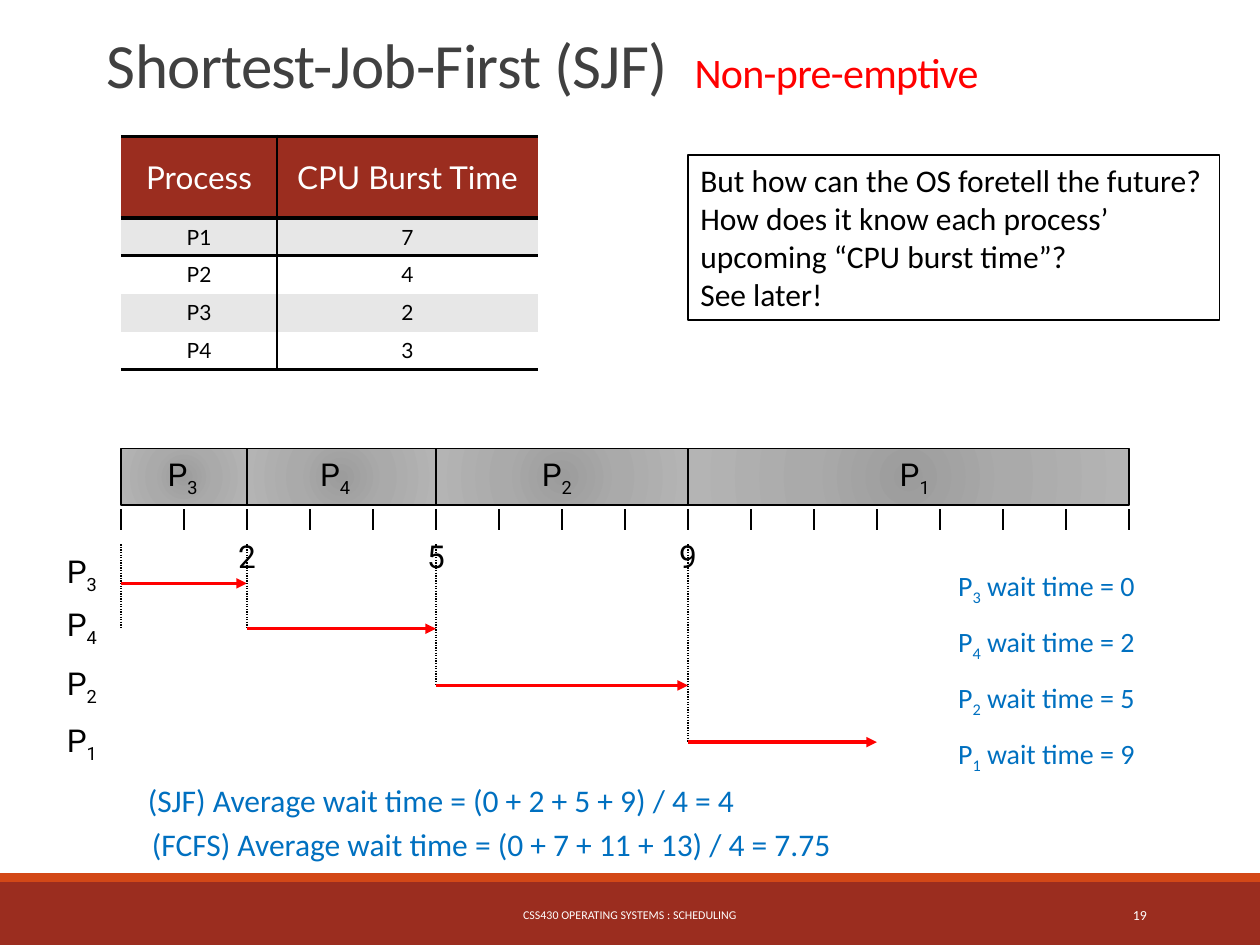
"""Build the Shortest-Job-First scheduling slide."""
from lxml.etree import SubElement
from pptx import Presentation
from pptx.dml.color import RGBColor as RGB
from pptx.enum.dml import MSO_LINE as Dash
from pptx.enum.shapes import MSO_CONNECTOR as Conn, MSO_SHAPE as Shape
from pptx.enum.text import MSO_ANCHOR as Anchor, PP_ALIGN as Align
from pptx.oxml import parse_xml
from pptx.oxml.ns import nsdecls, qn
from pptx.util import Inches, Pt

BLACK, WHITE = RGB(0, 0, 0), RGB(255, 255, 255)
RED, BLUE, GREY = RGB(255, 0, 0), RGB(0, 0x70, 0xC0), RGB(0x40, 0x40, 0x40)
BRICK, ORANGE, PALE = RGB(0x9B, 0x2D, 0x1F), RGB(0xD3, 0x48, 0x17), RGB(0xE7, 0xE7, 0xE7)
SHADES = [(0, "9C9C9C"), (45, "AAAAAA"), (100, "B4B4B4")]

WIDE, HIGH = 10, 7.5
LEFT, UNIT, TICKS = 0.96, 0.5, 16
BAR_Y, BAR_H = 3.56, 0.45
TICK_Y, TICK_H, DROP_Y = 4.04, 0.17, 4.32
TEXT_H, NAME_X = 0.4, 0.65

ROWS = [("Process", "CPU Burst Time"), ("P1", "7"), ("P2", "4"), ("P3", "2"), ("P4", "3")]
COLS, HEAD_H, ROW_H = (1.24, 2.07), 0.65, 0.3
# name, start, length, arrow length, name centre, label centre y, arrow y, drop end
JOBS = [
    ("P_3", 0, 2, 2, 1.45, 4.55, 4.63, 4.99),
    ("P_4", 2, 3, 3, 2.66, 4.97, 4.99, 4.99),
    ("P_2", 5, 4, 4, 4.42, 5.44, 5.44, 5.44),
    ("P_1", 9, 7, 3, 7.26, 5.89, 5.89, 5.89),
]
MEANS = [
    ("(SJF) Average wait time = (0 + 2 + 5 + 9) / 4 = 4 ", -0.47, 6.15),
    ("(FCFS) Average wait time = (0 + 7 + 11 + 13) / 4 = 7.75", -0.1, 6.5),
]
NOTE = [
    "But how can the OS foretell the future?",
    "How does it know each process’ upcoming “CPU burst time”?",
    "See later!",
]

LABEL = dict(size=Pt(18), name="Roboto", color=BLACK)
BODY = dict(size=Pt(18), name="Calibri", color=BLACK)
SUMS = {**BODY, "color": BLUE}
WAIT = {**SUMS, "size": Pt(16)}


def style(font, form):
    for key, val in form.items():
        if key == "color":
            font.color.rgb = val
        else:
            setattr(font, key, val)


def put(para, text, form):
    """Add runs, with the character after an underscore set as a subscript."""
    head, low, rest = text.partition("_")
    for part, base in ((head, 0), (rest[:1], -25000), (rest[1:], 0)):
        if part:
            run = para.add_run()
            run.text = part
            style(run.font, form)
            if base:
                run.font._element.set("baseline", str(base))


def write(frame, lines, form, align=Align.CENTER, anchor=Anchor.MIDDLE, wrap=True, gap=0):
    frame.word_wrap, frame.vertical_anchor = wrap, anchor
    for i, line in enumerate(lines):
        para = frame.add_paragraph() if i else frame.paragraphs[0]
        para.alignment = align
        if i and gap:
            para.space_before = Pt(gap)
        put(para, line, form)


def box(slide, x, y, w, h, lines, form, **opts):
    frame = slide.shapes.add_textbox(*map(Inches, (x, y, w, h))).text_frame
    write(frame, lines, form, **opts)
    return frame


def label(slide, x, y, text):
    w = 0.46 if "_" in text else 0.34
    box(slide, x - w / 2, y - TEXT_H / 2, w, TEXT_H, [text], LABEL, wrap=False)


def rect(slide, x, y, w, h, fill=None, line=None):
    shape = slide.shapes.add_shape(Shape.RECTANGLE, *map(Inches, (x, y, w, h)))
    shape.shadow.inherit = False
    if fill is None:
        shape.fill.background()
    else:
        shape.fill.solid()
        shape.fill.fore_color.rgb = fill
    if line is None:
        shape.line.fill.background()
    else:
        shape.line.color.rgb, shape.line.width = BLACK, Pt(line)
    return shape


def shade(shape):
    stops = "".join(
        f'<a:gs pos="{pos * 1000}"><a:srgbClr val="{tone}"/></a:gs>' for pos, tone in SHADES)
    grad = parse_xml(
        f'<a:gradFill {nsdecls("a")} rotWithShape="1"><a:gsLst>{stops}</a:gsLst>'
        '<a:path path="circle"><a:fillToRect l="50000" t="50000" r="50000" b="50000"/>'
        '</a:path></a:gradFill>')
    props = shape._element.spPr
    props.replace(props.find(qn("a:solidFill")), grad)


def rule(slide, x, y, x2, y2, color=BLACK, width=0.75, dash=None, arrow=False):
    link = slide.shapes.add_connector(Conn.STRAIGHT, *map(Inches, (x, y, x2, y2)))
    link.line.color.rgb, link.line.width = color, Pt(width)
    if dash:
        link.line.dash_style = dash
    if arrow:
        SubElement(link.line._get_or_add_ln(), qn("a:tailEnd"), type="triangle")
    SubElement(link._element.spPr, qn("a:effectLst"))


def edge(cell, side, width):
    cell._tc.get_or_add_tcPr().append(parse_xml(
        f'<a:{side} {nsdecls("a")} w="{Pt(width)}"><a:solidFill>'
        f'<a:srgbClr val="{BLACK}"/></a:solidFill></a:{side}>'))


def bursts(slide):
    high = HEAD_H + ROW_H * (len(ROWS) - 1)
    frame = slide.shapes.add_table(
        len(ROWS), len(COLS), *map(Inches, (LEFT, 1.08, sum(COLS), high)))
    table = frame.table
    table.horz_banding = table.first_row = False
    table._tbl.tblPr.find(qn("a:tableStyleId")).text = "{2D5ABB26-0587-4C30-8999-92F81FD0307C}"
    for col, w in zip(table.columns, COLS):
        col.width = Inches(w)
    for r, row in enumerate(ROWS):
        table.rows[r].height = Inches(ROW_H if r else HEAD_H)
        for c, text in enumerate(row):
            cell = table.cell(r, c)
            edge(cell, "lnR" if c == 0 else "lnL", 1)
            if r < 2:
                edge(cell, "lnT", 2)
            if r in (0, len(ROWS) - 1):
                edge(cell, "lnB", 2)
            cell.fill.solid()
            cell.fill.fore_color.rgb = BRICK if r == 0 else PALE if r % 2 else WHITE
            cell.vertical_anchor = Anchor.TOP if r else Anchor.MIDDLE
            para = cell.text_frame.paragraphs[0]
            para.alignment = Align.CENTER
            put(para, text, dict(size=Pt(12 if r else 18), name="Lato",
                                 color=BLACK if r else WHITE))


def chart(slide):
    for i in range(TICKS + 1):
        x = LEFT + i * UNIT
        rule(slide, x, TICK_Y, x, TICK_Y + TICK_H)
    for name, start, span, reach, mid, name_y, y, end in JOBS:
        x = LEFT + start * UNIT
        shade(rect(slide, x, BAR_Y, span * UNIT, BAR_H, WHITE, 1))
        label(slide, mid, BAR_Y + BAR_H / 2, name)
        label(slide, NAME_X, name_y, name)
        rule(slide, x, DROP_Y, x, end, dash=Dash.ROUND_DOT)
        rule(slide, x, y, x + reach * UNIT, y, RED, 2, arrow=True)
        if start:
            label(slide, x, 4.41, str(start))


def main():
    deck = Presentation()
    deck.slide_width, deck.slide_height = Inches(WIDE), Inches(HIGH)
    slide = deck.slides.add_slide(deck.slide_layouts[6])
    rect(slide, 0, 7, WIDE, 0.5, BRICK)
    rect(slide, 0, 6.93, WIDE, 0.07, ORANGE)
    foot = dict(name="Calibri", color=WHITE)
    box(slide, 3.02, 7.06, 3.96, TEXT_H, ["CSS430 OPERATING SYSTEMS : SCHEDULING"],
        {**foot, "size": Pt(6.8)})
    box(slide, 8.12, 7.06, 1.08, TEXT_H, ["19"], {**foot, "size": Pt(7.9)}, align=Align.RIGHT)
    title = box(slide, 0.75, 0.03, 8.5, 0.82, ["Shortest-Job-First (SJF)  "],
                dict(size=Pt(36), name="Calibri", color=GREY),
                align=Align.LEFT, anchor=Anchor.BOTTOM).paragraphs[0]
    title.line_spacing = 0.85
    put(title, "Non-pre-emptive", dict(size=Pt(24), name="Calibri", color=RED))
    for run in title.runs:
        run.font._element.set("spc", "-40")
    bursts(slide)
    write(rect(slide, 5.46, 1.23, 4.22, 1.31, line=0.75).text_frame, NOTE, BODY,
          align=Align.LEFT, anchor=Anchor.TOP)
    chart(slide)
    waits = [f"{job[0]} wait time = {job[1]}" for job in JOBS]
    box(slide, 7.49, 4.54, 1.63, 1.58, waits, WAIT, wrap=False, gap=10)
    for text, x, y in MEANS:
        box(slide, x, y, 8, TEXT_H, [text], SUMS, anchor=Anchor.TOP)
    deck.save("out.pptx")


if __name__ == "__main__":
    main()
